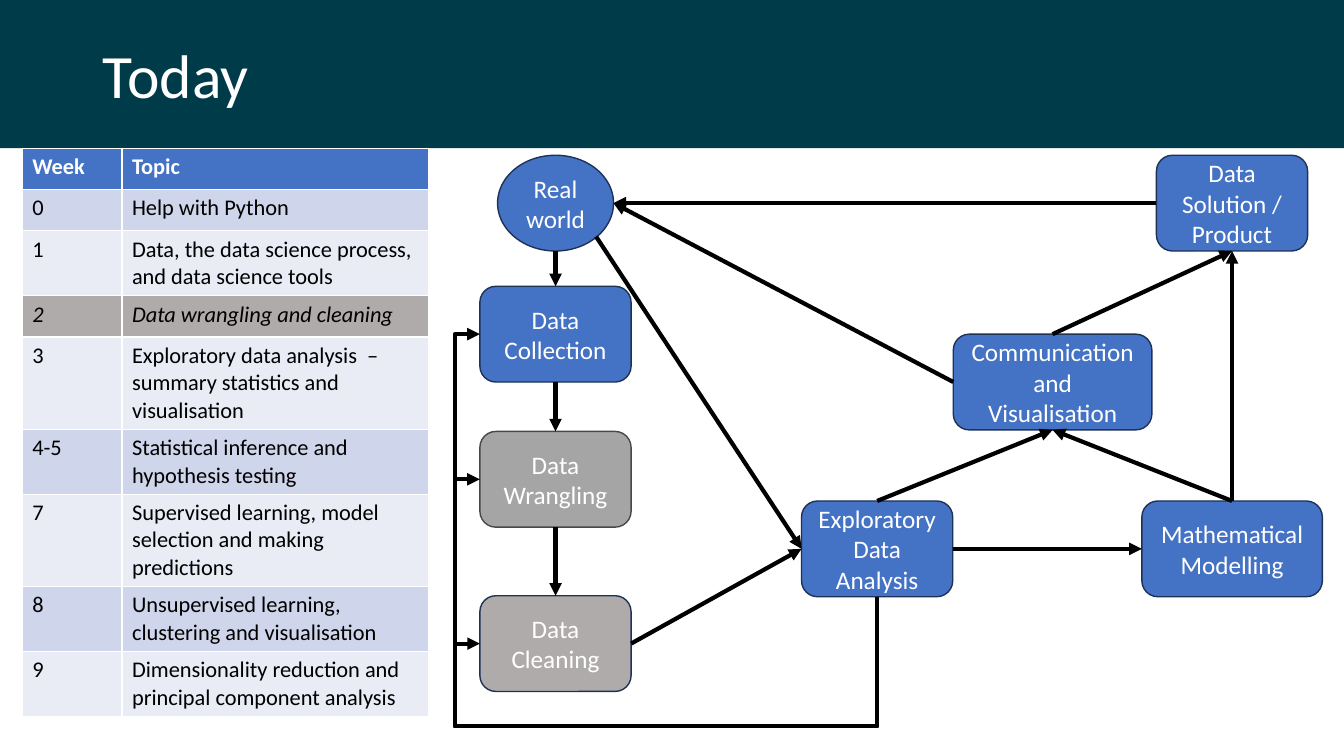
from lxml.etree import SubElement
from pptx import Presentation
from pptx.dml.color import RGBColor
from pptx.enum.shapes import MSO_CONNECTOR, MSO_SHAPE
from pptx.enum.text import MSO_ANCHOR, PP_ALIGN
from pptx.oxml.ns import qn
from pptx.util import Inches, Pt

COLOURS = {
    "band": "003B49", "blue": "4472C4", "navy": "1E3256", "grey": "A5A5A5",
    "charcoal": "484848", "today": "AFABAB", "tint": "CFD5EA", "pale": "E9EBF5",
    "white": "FFFFFF", "black": "000000",
}
FONT = "Calibri"
TOP, LEFT, BOTTOM, RIGHT, DIAGONAL = range(5)
SIDE_SHARES = {TOP: (0.5, 0), LEFT: (0, 0.5), BOTTOM: (0.5, 1), RIGHT: (1, 0.5), DIAGONAL: (0.85, 0.85)}

TOPICS = [
    ("Week", "Topic"),
    ("0", "Help with Python"),
    ("1", "Data, the data science process, and data science tools"),
    ("2", "Data wrangling and cleaning"),
    ("3", "Exploratory data analysis  – summary statistics and visualisation"),
    ("4-5", "Statistical inference and hypothesis testing"),
    ("7", "Supervised learning, model selection and making predictions"),
    ("8", "Unsupervised learning, clustering and visualisation"),
    ("9", "Dimensionality reduction and principal component analysis"),
]
TODAY_ROW = 3

GRID_COLUMNS, GRID_ROWS, STEP_ROWS = 86, 56.6, 9.5
STEPS = {
    "Real world": (10, 4.75, 11.5, "blue", "navy"),
    "Data Collection": (10, 17.75, 15, "blue", "navy"),
    "Data Wrangling": (10, 32.15, 15, "grey", "charcoal"),
    "Data Cleaning": (10, 48.45, 15, "today", "navy"),
    "Data Solution / Product": (77.1, 4.75, 15, "blue", "navy"),
    "Mathematical Modelling": (77.1, 39.05, 17.9, "blue", "navy"),
    "Exploratory Data Analysis": (41.9, 39.05, 15, "blue", "navy"),
    "Communication and Visualisation": (59.3, 22.5, 19.7, "blue", "navy"),
}
WORLD, COLLECTION, WRANGLING, CLEANING, PRODUCT, MODELLING, ANALYSIS, COMMUNICATION = STEPS
ARROWS = [
    (WORLD, BOTTOM, COLLECTION, TOP),
    (COLLECTION, BOTTOM, WRANGLING, TOP),
    (WRANGLING, BOTTOM, CLEANING, TOP),
    (CLEANING, RIGHT, ANALYSIS, LEFT),
    (WORLD, DIAGONAL, ANALYSIS, LEFT),
    (ANALYSIS, RIGHT, MODELLING, LEFT),
    (MODELLING, TOP, COMMUNICATION, BOTTOM),
    (ANALYSIS, TOP, COMMUNICATION, BOTTOM),
    (MODELLING, TOP, PRODUCT, BOTTOM),
    (PRODUCT, LEFT, WORLD, RIGHT),
    (COMMUNICATION, LEFT, WORLD, RIGHT),
    (COMMUNICATION, TOP, PRODUCT, BOTTOM),
]


def colour(name):
    """Return the named colour."""
    return RGBColor.from_string(COLOURS[name])


def format_font(font, size, name):
    """Set the typeface, size and colour of a font."""
    font.name, font.size = FONT, Pt(size)
    font.color.rgb = colour(name)


def draw_header(page, left, top, width, height):
    """Draw the dark band and set the title on it."""
    band = page.shapes.add_shape(MSO_SHAPE.RECTANGLE, left, top, width, height)
    band.shadow.inherit = False
    band.fill.solid()
    band.fill.fore_color.rgb = colour("band")
    band.line.fill.background()
    page.shapes.element.insert(2, band.element)

    title = page.shapes.title
    title.left, title.top = left + Inches(0.92), top + Inches(0.4)
    title.width, title.height = Inches(11.5), Inches(1.45)
    title.text_frame.text = "Today"
    title.text_frame.vertical_anchor = MSO_ANCHOR.TOP
    paragraph = title.text_frame.paragraphs[0]
    paragraph.alignment, paragraph.line_spacing = PP_ALIGN.LEFT, 0.9
    format_font(paragraph.runs[0].font, 44, "white")


def draw_schedule(page, left, top, width, height):
    """Draw the table of weeks and topics."""
    frame = page.shapes.add_table(len(TOPICS), 2, left, top, width, height)
    table = frame.table
    table.columns[0].width = Inches(0.99)
    table.columns[1].width = width - Inches(0.99)
    for index, entries in enumerate(TOPICS):
        table.rows[index].height = Inches(0.41)
        fill = "tint" if index % 2 else "pale"
        fill = {0: "blue", TODAY_ROW: "today"}.get(index, fill)
        for cell, entry in zip(table.rows[index].cells, entries):
            cell.fill.solid()
            cell.fill.fore_color.rgb = colour(fill)
            cell.text_frame.text = entry
            font = cell.text_frame.paragraphs[0].runs[0].font
            format_font(font, 16, "black" if index else "white")
            font.bold, font.italic = index == 0, index == TODAY_ROW
    frame.height = height


def draw_step(page, label, centre_x, centre_y, width, height, fill, outline):
    """Draw one step of the process around its centre."""
    kind = MSO_SHAPE.OVAL if label == WORLD else MSO_SHAPE.ROUNDED_RECTANGLE
    step = page.shapes.add_shape(
        kind, int(centre_x - width / 2), int(centre_y - height / 2), int(width), int(height))
    step.shadow.inherit = False
    step.fill.solid()
    step.fill.fore_color.rgb = colour(fill)
    step.line.color.rgb = colour(outline)
    step.line.width = Pt(1)
    step.text_frame.text = label
    step.text_frame.word_wrap = True
    step.text_frame.vertical_anchor = MSO_ANCHOR.MIDDLE
    paragraph = step.text_frame.paragraphs[0]
    paragraph.alignment = PP_ALIGN.CENTER
    format_font(paragraph.runs[0].font, 18, "white")
    return step


def side_point(step, side):
    """Return the point on the given side of a step."""
    across, down = SIDE_SHARES[side]
    return int(step.left + step.width * across), int(step.top + step.height * down)


def join(page, kind, steps, source, source_side, target, target_side):
    """Draw an arrow from one step to another."""
    start, end = side_point(steps[source], source_side), side_point(steps[target], target_side)
    arrow = page.shapes.add_connector(kind, *start, *end)
    if source != WORLD:
        arrow.begin_connect(steps[source], source_side)
    if target != WORLD:
        arrow.end_connect(steps[target], target_side)
    arrow.line.color.rgb = colour("black")
    arrow.line.width = Pt(3)
    SubElement(arrow.line._get_or_add_ln(), qn("a:tailEnd"), type="triangle")
    SubElement(arrow.element.spPr, qn("a:effectLst"))
    return arrow


def draw_feedback(page, steps, target, trunk_x, trunk_y):
    """Draw a bent arrow back from the analysis around the trunk corner."""
    arrow = join(page, MSO_CONNECTOR.ELBOW, steps, ANALYSIS, BOTTOM, target, LEFT)
    start_x, start_y = side_point(steps[ANALYSIS], BOTTOM)
    end_x, end_y = side_point(steps[target], LEFT)
    arrow.width, arrow.height = abs(end_y - start_y), start_x - end_x
    arrow.left = (start_x + end_x - arrow.width) // 2
    arrow.top = (start_y + end_y - arrow.height) // 2
    arrow.rotation = 90
    frame = arrow.element.spPr.find(qn("a:xfrm"))
    frame.set("flipH", "1" if end_y < start_y else "0")
    frame.set("flipV", "0")
    geometry = arrow.element.spPr.find(qn("a:prstGeom"))
    geometry.set("prst", "bentConnector4")
    guides = geometry.find(qn("a:avLst"))
    if guides is None:
        guides = SubElement(geometry, qn("a:avLst"))
    bends = (trunk_y - start_y) / (end_y - start_y), (start_x - trunk_x) / (start_x - end_x)
    for number, bend in enumerate(bends, 1):
        SubElement(guides, qn("a:gd"), name=f"adj{number}", fmla=f"val {round(bend * 100000)}")


def draw_process(page, left, top, width, height):
    """Draw the data science process on a grid within the box."""
    column, row = width / GRID_COLUMNS, height / GRID_ROWS
    steps = {}
    for label, (across, down, columns, fill, outline) in STEPS.items():
        steps[label] = draw_step(
            page, label, left + across * column, top + down * row,
            columns * column, STEP_ROWS * row, fill, outline)
    for arrow in ARROWS:
        join(page, MSO_CONNECTOR.STRAIGHT, steps, *arrow)
    for target in (COLLECTION, WRANGLING, CLEANING):
        draw_feedback(page, steps, target, left, top + height)


def main():
    """Build the slide and save the deck."""
    deck = Presentation()
    deck.slide_width, deck.slide_height = Inches(13.33), Inches(7.5)
    page = deck.slides.add_slide(deck.slide_layouts[5])
    draw_header(page, 0, 0, deck.slide_width, Inches(1.47))
    draw_schedule(page, Inches(0.22), Inches(1.47), Inches(4.03), Inches(5.55))
    draw_process(page, Inches(4.51), Inches(1.54), Inches(8.6), Inches(5.66))
    deck.save("out.pptx")


if __name__ == "__main__":
    main()
